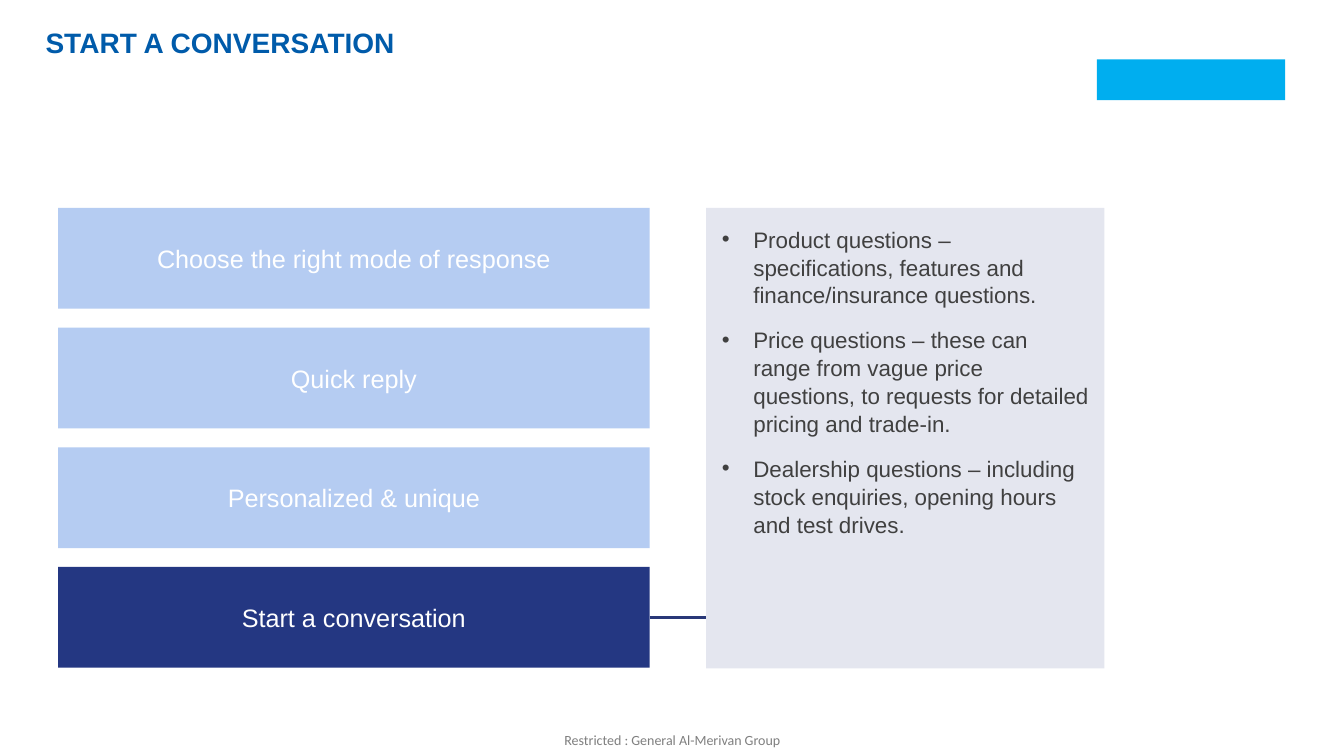
"""Build the "Start a conversation" slide with four steps and a detail panel."""
from lxml import etree
from pptx import Presentation
from pptx.dml.color import RGBColor
from pptx.enum.shapes import MSO_CONNECTOR, MSO_SHAPE
from pptx.enum.text import MSO_ANCHOR, MSO_AUTO_SIZE, PP_ALIGN
from pptx.oxml.ns import qn
from pptx.util import Pt

RECTANGLE = MSO_SHAPE.RECTANGLE
STRAIGHT = MSO_CONNECTOR.STRAIGHT
TOP, MIDDLE = MSO_ANCHOR.TOP, MSO_ANCHOR.MIDDLE
LEFT, CENTER = PP_ALIGN.LEFT, PP_ALIGN.CENTER
NO_AUTOFIT = MSO_AUTO_SIZE.NONE

TITLE_BLUE = RGBColor(0x00, 0x5B, 0xAA)
PALE_BLUE = RGBColor(0xB5, 0xCC, 0xF2)
NAVY = RGBColor(0x24, 0x37, 0x82)
LINE_NAVY = RGBColor(0x29, 0x38, 0x78)
SKY = RGBColor(0x00, 0xAE, 0xEF)
DARK_GREY = RGBColor(0x40, 0x40, 0x40)
MID_GREY = RGBColor(0x7F, 0x7F, 0x7F)
WHITE = RGBColor(0xFF, 0xFF, 0xFF)

STEPS = [
    "Choose the right mode of response",
    "Quick reply",
    "Personalized & unique",
    "Start a conversation",
]
QUESTIONS = [
    "Product questions – specifications, features and finance/insurance questions.",
    "Price questions – these can range from vague price questions, "
    "to requests for detailed pricing and trade-in.",
    "Dealership questions – including stock enquiries, opening hours and test drives.",
]
BAR_LEFT, BAR_TOP, BAR_WIDTH, BAR_HEIGHT, BAR_STEP = 41.5, 148.5, 422.5, 72, 85.5
PANEL_LEFT, PANEL_WIDTH, PANEL_HEIGHT = 504.3, 284.5, 329


def add_rectangle(left, top, width, height, color):
    box = slide.shapes.add_shape(RECTANGLE, Pt(left), Pt(top), Pt(width), Pt(height))
    box.shadow.inherit = False
    box.fill.solid()
    box.fill.fore_color.rgb = color
    box.line.fill.background()
    return box


def style(para, size, color, align, name="Arial"):
    para.alignment = align
    para.font.size = Pt(size)
    para.font.name = name
    para.font.color.rgb = color


deck = Presentation()
deck.slide_width, deck.slide_height = Pt(960), Pt(540)
slide = deck.slides.add_slide(deck.slide_layouts[5])

title = slide.shapes.title
title.left, title.top, title.width, title.height = Pt(25.3), Pt(15.5), Pt(908.5), Pt(30)
title.text_frame.text = "START A CONVERSATION"
title.text_frame.auto_size = NO_AUTOFIT
title.text_frame.vertical_anchor = MIDDLE
style(title.text_frame.paragraphs[0], 20, TITLE_BLUE, LEFT)
title.text_frame.paragraphs[0].font.bold = True

add_rectangle(783.5, 42.5, 134.5, 29, SKY)

for index, step in enumerate(STEPS):
    is_current = index == len(STEPS) - 1
    bar = add_rectangle(BAR_LEFT, BAR_TOP + index * BAR_STEP, BAR_WIDTH, BAR_HEIGHT,
                        NAVY if is_current else PALE_BLUE)
    bar.text_frame.text = step
    bar.text_frame.vertical_anchor = MIDDLE
    style(bar.text_frame.paragraphs[0], 18, WHITE, CENTER)

panel = add_rectangle(PANEL_LEFT, BAR_TOP, PANEL_WIDTH, PANEL_HEIGHT, NAVY)
panel_color = panel.fill._xPr.find(qn("a:solidFill"))[0]
etree.SubElement(panel_color, qn("a:alpha"), val="12000")
frame = panel.text_frame
frame.word_wrap = True
frame.vertical_anchor = TOP
frame.margin_left, frame.margin_right, frame.margin_top = Pt(11.3), Pt(11), Pt(12)
for index, question in enumerate(QUESTIONS):
    para = frame.paragraphs[0] if index == 0 else frame.add_paragraph()
    para.text = question
    properties = para._p.get_or_add_pPr()
    properties.set("marL", str(Pt(22.5)))
    properties.set("indent", str(-Pt(22.5)))
    etree.SubElement(properties, qn("a:buFont"), typeface="Arial")
    etree.SubElement(properties, qn("a:buChar"), char="•")
    style(para, 16, DARK_GREY, LEFT)
    para.line_spacing = 1.04
    para.space_after = Pt(12)

link_y = bar.top + bar.height // 2
link = slide.shapes.add_connector(STRAIGHT, bar.left + bar.width, link_y, panel.left, link_y)
link.begin_connect(bar, 3)
link.line.color.rgb = LINE_NAVY
link.line.width = Pt(2.25)
etree.SubElement(link._element.spPr, qn("a:effectLst"))

footer = slide.shapes.add_textbox(Pt(403.2), Pt(522.7), Pt(155.5), Pt(12.2))
frame = footer.text_frame
frame.margin_left = frame.margin_right = frame.margin_top = frame.margin_bottom = 0
frame.text = "Restricted : General Al-Merivan Group"
style(frame.paragraphs[0], 10, MID_GREY, LEFT, "Calibri")

deck.save("out.pptx")
